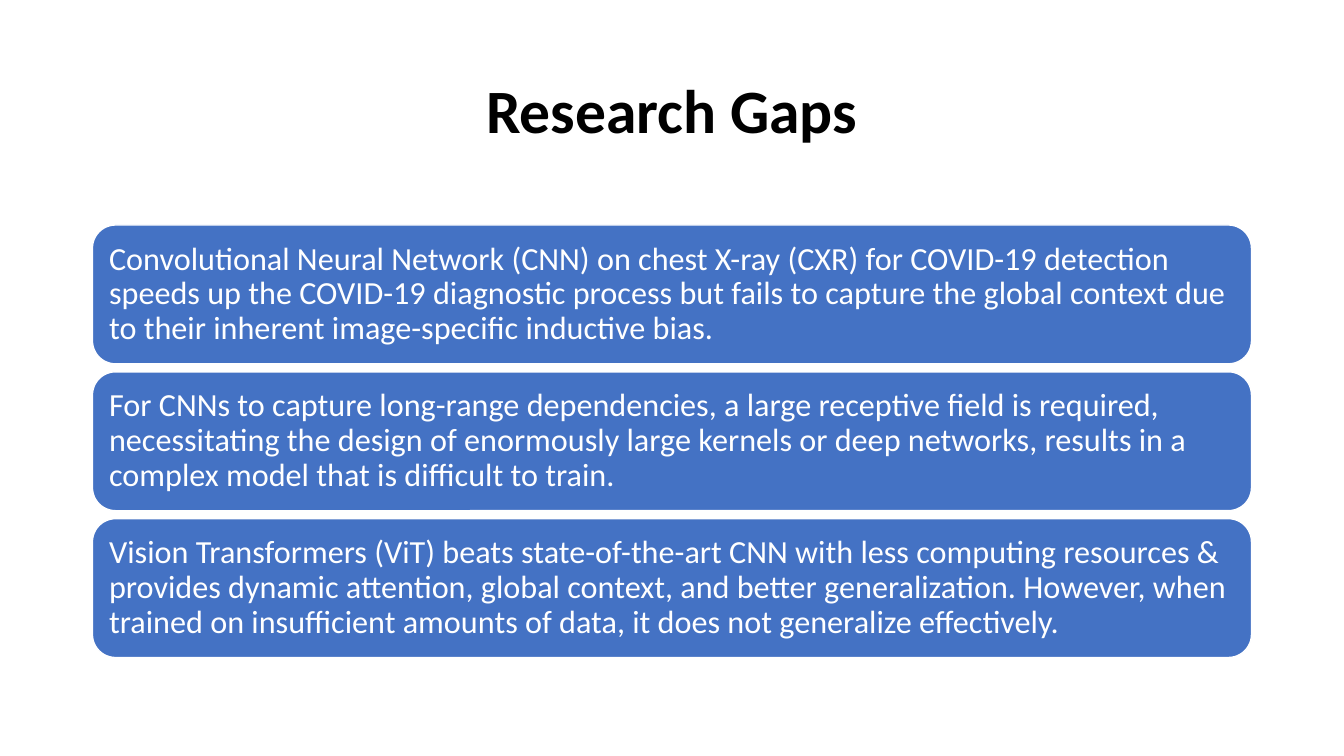
import pptx
import pptx.dml.color
import pptx.enum.shapes
import pptx.enum.text
import pptx.util

Cm = pptx.util.Cm
Pt = pptx.util.Pt
RGBColor = pptx.dml.color.RGBColor

BLACK = RGBColor(0x00, 0x00, 0x00)
WHITE = RGBColor(0xFF, 0xFF, 0xFF)
BLUE = RGBColor(0x44, 0x72, 0xC4)

LEFT, WIDTH = 2.33, 29.21
FIRST_TOP, CARD_HEIGHT, CARD_PITCH = 5.67, 3.5, 3.7

GAPS = [
    "Convolutional Neural Network (CNN) on chest X-ray (CXR) for COVID-19 detection "
    "speeds up the COVID-19 diagnostic process but fails to capture the global context "
    "due to their inherent image-specific inductive bias.",
    "For CNNs to capture long-range dependencies, a large receptive field is required, "
    "necessitating the design of enormously large kernels or deep networks, results in "
    "a complex model that is difficult to train.",
    "Vision Transformers (ViT) beats state-of-the-art CNN with less computing resources "
    "& provides dynamic attention, global context, and better generalization. However, "
    "when trained on insufficient amounts of data, it does not generalize effectively.",
]


class SlideBuilder:
    """Holds the text style and the current slide."""

    font_name = "Calibri"
    line_spacing = 0.9

    def __init__(self, slide):
        self.slide = slide

    def add_text(self, shape, text, size, color, alignment, bold=False):
        frame = shape.text_frame
        frame.word_wrap = True
        frame.vertical_anchor = pptx.enum.text.MSO_ANCHOR.MIDDLE
        paragraph = frame.paragraphs[0]
        paragraph.alignment = alignment
        paragraph.line_spacing = self.line_spacing
        run = paragraph.add_run()
        run.text = text
        run.font.name = self.font_name
        run.font.size = Pt(size)
        run.font.bold = bold
        run.font.color.rgb = color

    def title(self, text, left, top, width, height):
        shape = self.slide.shapes.title
        shape.left, shape.top = Cm(left), Cm(top)
        shape.width, shape.height = Cm(width), Cm(height)
        self.add_text(shape, text, 44, BLACK, pptx.enum.text.PP_ALIGN.CENTER, bold=True)

    def card(self, text, left, top, width, height):
        shape = self.slide.shapes.add_shape(
            pptx.enum.shapes.MSO_SHAPE.ROUNDED_RECTANGLE,
            Cm(left), Cm(top), Cm(width), Cm(height),
        )
        shape.shadow.inherit = False
        shape.fill.solid()
        shape.fill.fore_color.rgb = BLUE
        shape.line.color.rgb = WHITE
        shape.line.width = Pt(1)
        frame = shape.text_frame
        frame.margin_left = frame.margin_right = Cm(0.25)
        frame.margin_top = frame.margin_bottom = Cm(0.25)
        self.add_text(shape, text, 23, WHITE, pptx.enum.text.PP_ALIGN.LEFT)


def main():
    presentation = pptx.Presentation()
    presentation.slide_width = Cm(33.87)
    presentation.slide_height = Cm(19.05)
    title_only = presentation.slide_layouts.get_by_name("Title Only")
    builder = SlideBuilder(presentation.slides.add_slide(title_only))
    builder.title("Research Gaps", LEFT, 1.01, WIDTH, 3.68)
    for index, gap in enumerate(GAPS):
        builder.card(gap, LEFT, FIRST_TOP + index * CARD_PITCH, WIDTH, CARD_HEIGHT)
    presentation.save("out.pptx")


if __name__ == "__main__":
    main()
